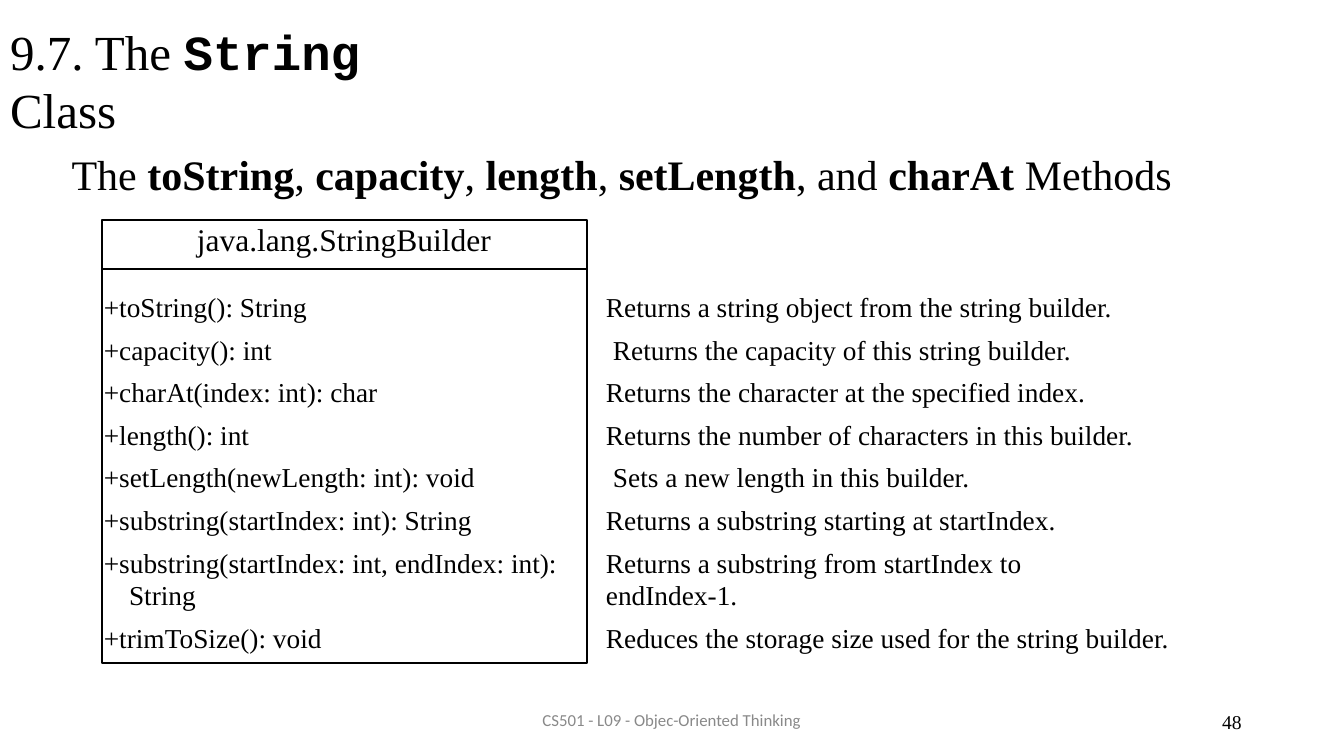
from dataclasses import dataclass

from pptx import Presentation
from pptx.dml.color import RGBColor
from pptx.enum.shapes import MSO_SHAPE
from pptx.enum.text import MSO_ANCHOR, PP_ALIGN
from pptx.util import Inches, Pt

# Content: ** marks a switch to the accent style and back
TITLE = "9.7. The **String **Class"
SUBTITLE = ("The **toString**, **capacity**, **length**, **setLength**, "
            "and **charAt **Methods")
CLASS_NAME = "java.lang.StringBuilder"
METHODS = [  # signature, description, extra indent of the description
    ("+toString(): String", "Returns a string object from the string builder.", 0),
    ("+capacity(): int", "Returns the capacity of this string builder.", 0.07),
    ("+charAt(index: int): char", "Returns the character at the specified index.", 0),
    ("+length(): int", "Returns the number of characters in this builder.", 0),
    ("+setLength(newLength: int): void", "Sets a new length in this builder.", 0.07),
    ("+substring(startIndex: int): String", "Returns a substring starting at startIndex.", 0),
    ("+substring(startIndex: int, endIndex: int): String",
     "Returns a substring from startIndex to\vendIndex-1.", 0),
    ("+trimToSize(): void", "Reduces the storage size used for the string builder.", 0),
]
FOOTER = "CS501 - L09 - Objec-Oriented Thinking"
PAGE_NUMBER = "48"


@dataclass(frozen=True)
class Theme:
    serif: str = "Times New Roman"
    code: str = "Courier New"
    sans: str = "Calibri"
    ink: RGBColor = RGBColor(0, 0, 0)
    muted: RGBColor = RGBColor(0x89, 0x89, 0x89)
    title: float = 35
    subtitle: float = 30
    heading: float = 22.5
    body: float = 19.5
    page: float = 14
    footer: float = 12
    rule: float = 1.77


THEME = Theme()

# Layout in inches
SLIDE_W, SLIDE_H = 13.33, 7.5
CLASS_X, CLASS_Y, CLASS_W = 1.01, 2.18, 4.81
HEAD_H, BODY_H = 0.49, 3.91
BODY_Y = CLASS_Y + HEAD_H
NOTES_X = 6
ROW_GAP = 7  # points between method rows
ROWS_INSET = 0.21


def write(shape, lines, size, font=THEME.serif, accent=None, color=THEME.ink,
          align=PP_ALIGN.LEFT, inset=0, gap=0, margins=(0.01,), hang=0):
    """Fill a shape with one paragraph per line; margins repeat if too few."""
    frame = shape.text_frame
    frame.word_wrap = True
    frame.vertical_anchor = MSO_ANCHOR.TOP
    frame.margin_left = frame.margin_right = frame.margin_bottom = 0
    frame.margin_top = Inches(inset)
    for row, line in enumerate(lines):
        paragraph = frame.paragraphs[0] if row == 0 else frame.add_paragraph()
        paragraph.alignment = align
        paragraph.space_before = Pt(gap if row else 0)
        props = paragraph._p.get_or_add_pPr()
        props.set("marL", str(Inches(margins[row % len(margins)] + hang)))
        props.set("indent", str(Inches(-hang)))
        for part, words in enumerate(line.split("**")):
            for piece, chunk in enumerate(words.split("\v")):
                if piece:
                    paragraph.add_line_break()
                if not chunk:
                    continue
                run = paragraph.add_run()
                run.text = chunk
                run.font.name = accent if part % 2 and accent else font
                run.font.size = Pt(size)
                run.font.bold = part % 2 == 1
                run.font.color.rgb = color


def text_box(slide, left, top, width, height):
    return slide.shapes.add_textbox(*map(Inches, (left, top, width, height)))


def outlined_box(slide, top, height):
    box = slide.shapes.add_shape(
        MSO_SHAPE.RECTANGLE, *map(Inches, (CLASS_X, top, CLASS_W, height)))
    box.shadow.inherit = False
    box.fill.background()
    box.line.color.rgb = THEME.ink
    box.line.width = Pt(THEME.rule)
    return box


def main():
    deck = Presentation()
    deck.slide_width, deck.slide_height = Inches(SLIDE_W), Inches(SLIDE_H)
    slide = deck.slides.add_slide(deck.slide_layouts[5])

    # Title and subtitle
    title = slide.shapes.title
    title.left, title.top = Inches(0.09), Inches(0.2)
    title.width, title.height = Inches(4.67), Inches(0.61)
    write(title, [TITLE], THEME.title, accent=THEME.code, inset=0.01)
    subtitle = text_box(slide, 0.7, 1.46, 11.2, 0.53)
    write(subtitle, [SUBTITLE], THEME.subtitle, inset=0.01)

    # Class diagram with descriptions alongside
    signatures, descriptions, indents = zip(*METHODS)
    write(outlined_box(slide, CLASS_Y, HEAD_H), [CLASS_NAME], THEME.heading,
          align=PP_ALIGN.CENTER, margins=(0,))
    write(outlined_box(slide, BODY_Y, BODY_H), signatures, THEME.body,
          inset=ROWS_INSET, gap=ROW_GAP, margins=(0.02,), hang=0.25)
    notes = text_box(slide, NOTES_X, BODY_Y, 5.8, BODY_H)
    write(notes, descriptions, THEME.body, inset=ROWS_INSET, gap=ROW_GAP,
          margins=[0.01 + indent for indent in indents])

    # Footer
    footer = text_box(slide, 5.37, 7.03, 2.7, 0.23)
    write(footer, [FOOTER], THEME.footer, font=THEME.sans, color=THEME.muted, inset=0.01)
    page = text_box(slide, 12.08, 7.04, 0.29, 0.24)
    write(page, [PAGE_NUMBER], THEME.page, margins=(0.04,))

    deck.save("out.pptx")


if __name__ == "__main__":
    main()
